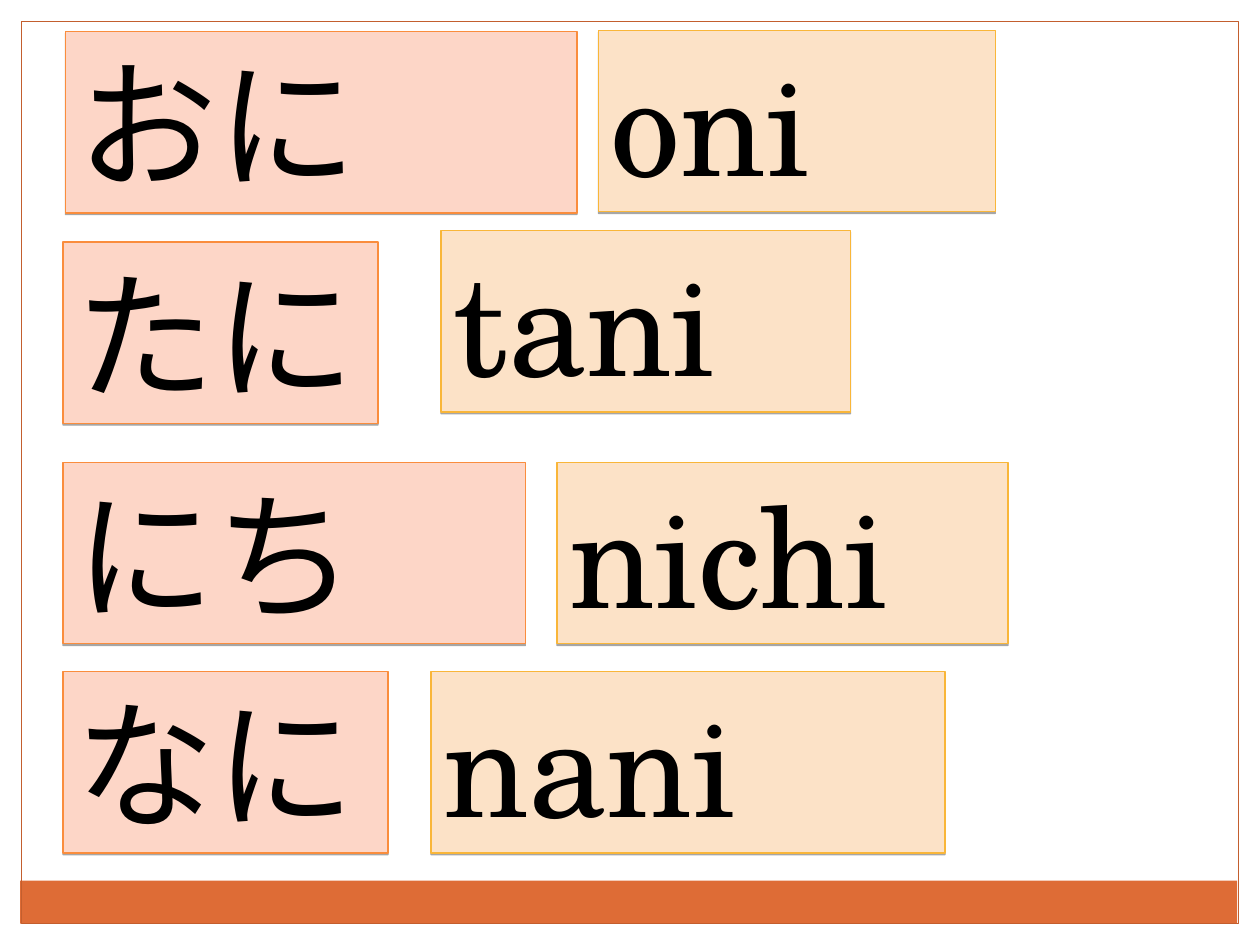
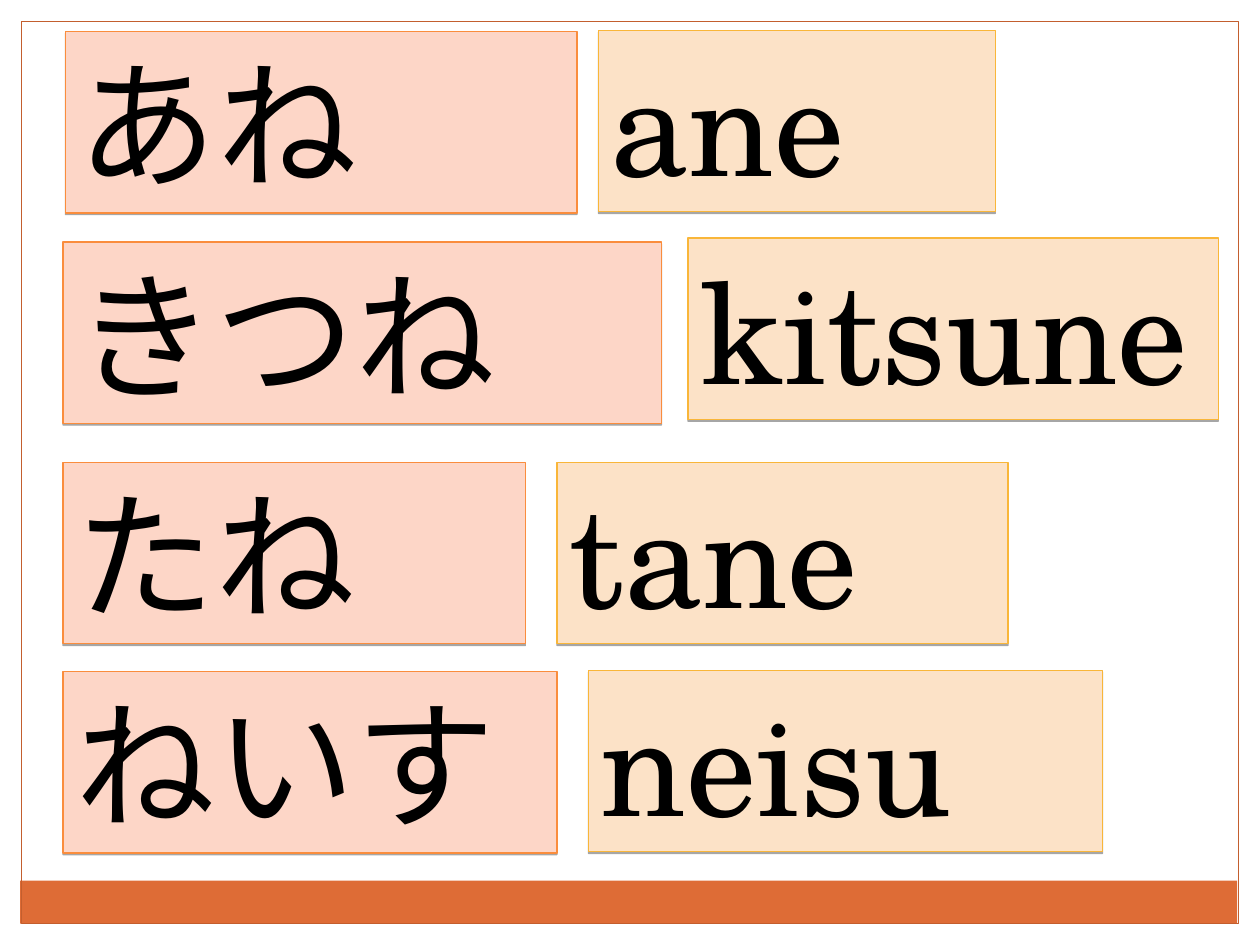
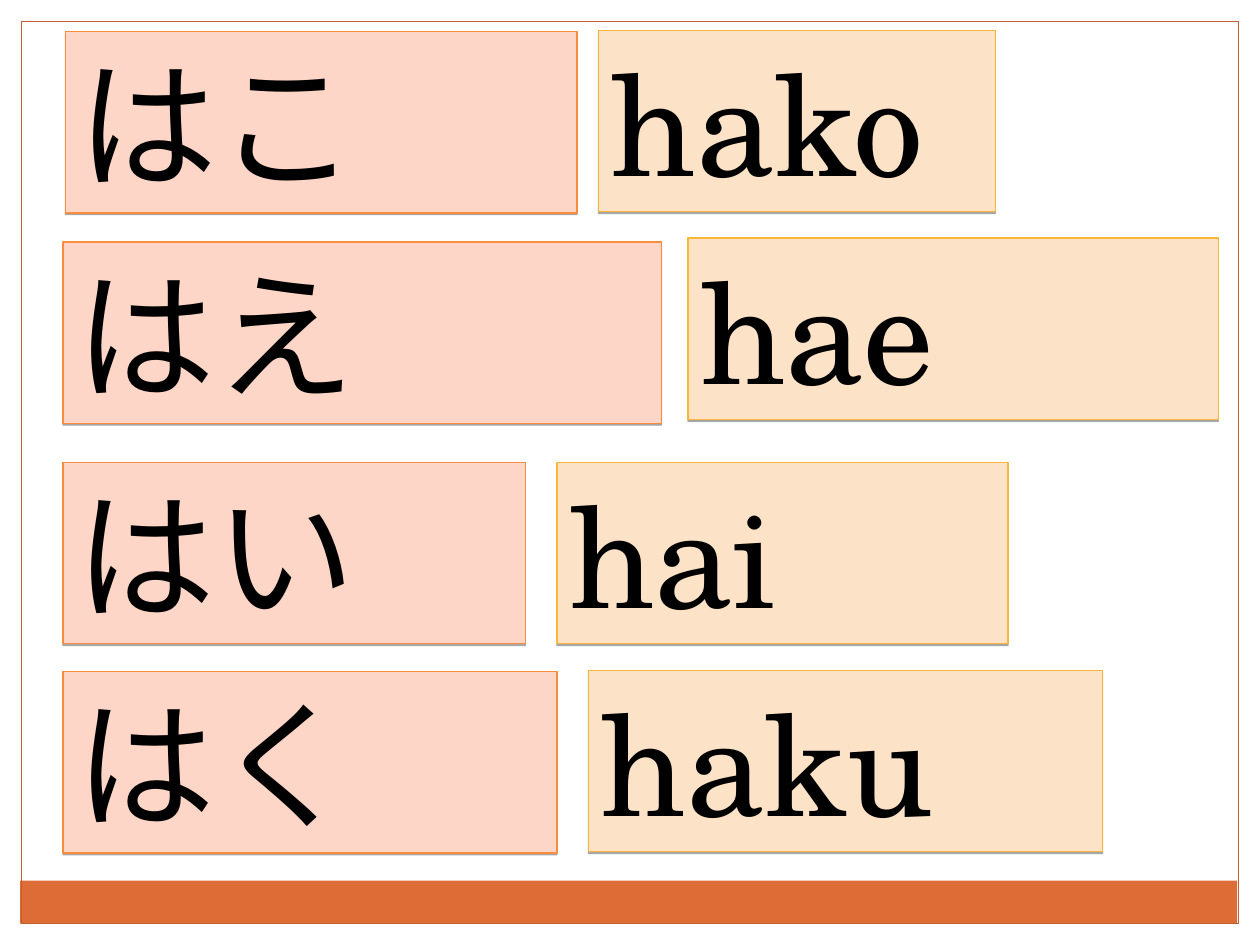
import pptx
import pptx.dml.color
import pptx.enum.shapes
import pptx.enum.text
import pptx.oxml
import pptx.oxml.ns
import pptx.util
from pptx.util import Inches

COLORS = {
    "band": "DE6C36", "frame": "C35E2E", "text": "000000",
    "kana": "FDD6C7", "kana_line": "FA8D3D",
    "roma": "FCE2C7", "roma_line": "F9B639",
}
FONTS = {"kana": "Calibri", "roma": "TeX Gyre Schola"}
HEIGHT = 1.44

# Each row holds a kana box and a romaji box as (left, top, width)
FIRST = ((0.52, 0.25, 4.06), (4.75, 0.24, 3.15))
THIRD = ((0.5, 3.67, 3.67), (4.42, 3.67, 3.58))
SHORT = (
    FIRST,
    ((0.5, 1.92, 2.5), (3.5, 1.83, 3.25)),
    THIRD,
    ((0.5, 5.33, 2.58), (3.42, 5.33, 4.08)),
)
LONG = (
    FIRST,
    ((0.5, 1.92, 4.75), (5.46, 1.89, 4.21)),
    THIRD,
    ((0.5, 5.33, 3.92), (4.67, 5.32, 4.08)),
)

# Words of each slide, top to bottom
PAGES = (
    (SHORT, (("おに", "oni"), ("たに", "tani"), ("にち", "nichi"), ("なに", "nani"))),
    (LONG, (("あね", "ane"), ("きつね", "kitsune"), ("たね", "tane"), ("ねいす", "neisu"))),
    (LONG, (("はこ", "hako"), ("はえ", "hae"), ("はい", "hai"), ("はく", "haku"))),
)


def color(name):
    return pptx.dml.color.RGBColor.from_string(COLORS[name])


class Deck:
    def __init__(self):
        self.prs = pptx.Presentation()
        self.prs.slide_width = Inches(10)
        self.prs.slide_height = Inches(7.5)
        self.slide = None

    def page(self):
        """Start a slide with its bottom band and thin frame."""
        self.slide = self.prs.slides.add_slide(self.prs.slide_layouts[6])
        self.rect(0.16, 6.99, 9.66, 0.34, fill="band")
        self.rect(0.17, 0.17, 9.66, 7.16, line="frame")

    def rect(self, left, top, width, height, fill=None, line=None):
        shape = self.slide.shapes.add_shape(
            pptx.enum.shapes.MSO_SHAPE.RECTANGLE,
            Inches(left), Inches(top), Inches(width), Inches(height))
        shape.shadow.inherit = False
        if fill:
            shape.fill.solid()
            shape.fill.fore_color.rgb = color(fill)
        else:
            shape.fill.background()
        if line:
            shape.line.color.rgb = color(line)
            shape.line.width = pptx.util.Pt(0.75)
        else:
            shape.line.fill.background()
        return shape

    def shade(self, shape):
        """Give a shape a thin soft shadow just below it."""
        effects = shape.element.spPr.find(pptx.oxml.ns.qn("a:effectLst"))
        effects.append(pptx.oxml.parse_xml(
            f'<a:outerShdw {pptx.oxml.ns.nsdecls("a")} blurRad="0" dist="12700" '
            'dir="5400000" rotWithShape="0"><a:srgbClr val="000000">'
            '<a:alpha val="35000"/></a:srgbClr></a:outerShdw>'))

    def card(self, kind, text, spot):
        shape = self.rect(*spot, HEIGHT, fill=kind, line=kind + "_line")
        self.shade(shape)
        frame = shape.text_frame
        frame.word_wrap = True
        frame.auto_size = pptx.enum.text.MSO_AUTO_SIZE.SHAPE_TO_FIT_TEXT
        frame.vertical_anchor = pptx.enum.text.MSO_ANCHOR.TOP
        para = frame.paragraphs[0]
        para.text = text
        para.alignment = pptx.enum.text.PP_ALIGN.LEFT
        font = para.font
        font.size = pptx.util.Pt(80)
        font.color.rgb = color("text")
        font.name = FONTS[kind]
        # East Asian glyphs follow the same font
        latin = para._p.pPr.find(".//" + pptx.oxml.ns.qn("a:latin"))
        latin.addnext(pptx.oxml.parse_xml(
            f'<a:ea {pptx.oxml.ns.nsdecls("a")} typeface="{FONTS[kind]}"/>'))


def main():
    deck = Deck()
    for rows, words in PAGES:
        deck.page()
        for (left, right), (kana, roma) in zip(rows, words):
            deck.card("kana", kana, left)
            deck.card("roma", roma, right)
    deck.prs.save("out.pptx")


if __name__ == "__main__":
    main()
